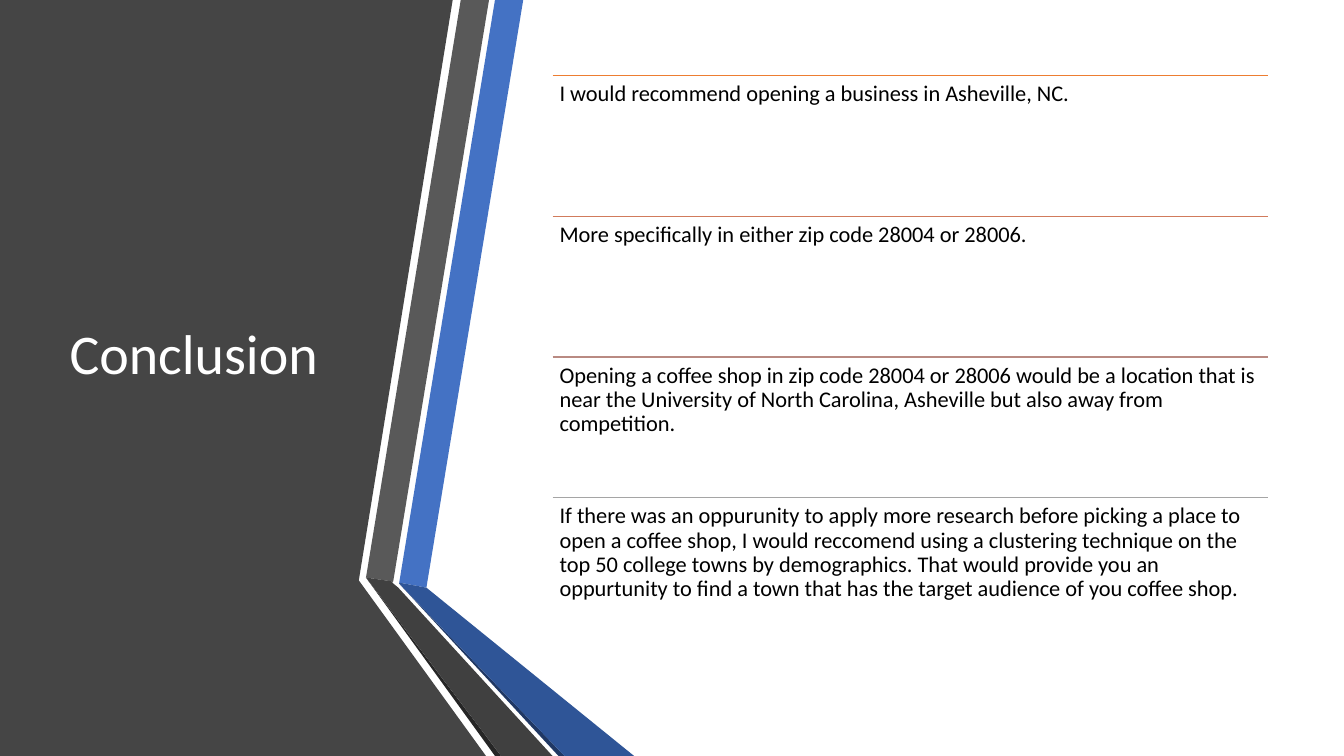
from dataclasses import dataclass

from lxml.etree import SubElement
from pptx import Presentation
from pptx.dml.color import RGBColor
from pptx.enum.shapes import MSO_CONNECTOR as Connector
from pptx.enum.text import MSO_ANCHOR as Anchor, MSO_AUTO_SIZE as AutoSize, PP_ALIGN as Align
from pptx.oxml.ns import qn
from pptx.slide import Slide
from pptx.text.text import TextFrame
from pptx.util import Inches, Pt

COLORS = {
    "panel": "454545",
    "blue": "4472C4",
    "gray": "595959",
    "gray_edge": "262626",
    "blue_edge": "203864",
    "blue_fold": "2F5597",
    "gray_fold": "404040",
    "title": "FFFFFF",
    "body": "000000",
    "rule_1": "ED7D31",
    "rule_2": "D17B5C",
    "rule_3": "B98A82",
    "rule_4": "A5A5A5",
}
FONT = "Calibri"
POINTS_LEFT, POINTS_TOP = 5.48, 0.75
POINTS_WIDTH, POINTS_HEIGHT = 7.1, 5.58
INSET = Inches(0.07)


@dataclass(frozen=True)
class Band:
    color: str
    corners: tuple[tuple[float, float], ...]


@dataclass(frozen=True)
class Point:
    color: str
    wording: str


BANDS = (
    Band("panel", ((0, 0), (4.49, 0), (3.56, 5.75), (3.56, 5.76), (4.82, 7.5), (0, 7.5))),
    Band("blue", ((3.96, 5.78), (4.23, 5.83), (5.19, 0), (4.91, 0))),
    Band("gray", ((4.85, 0), (4.57, 0), (3.63, 5.73), (3.9, 5.77))),
    Band("gray_edge", ((3.63, 5.73), (4.91, 7.5), (4.97, 7.5))),
    Band("blue_edge", ((3.96, 5.79), (5.54, 7.5), (5.6, 7.5))),
    Band("blue_fold", ((3.96, 5.79), (5.6, 7.5), (6.29, 7.5), (4.23, 5.83), (3.96, 5.78))),
    Band("gray_fold", ((5.48, 7.5), (3.95, 5.83), (3.89, 5.78), (3.9, 5.77), (3.63, 5.73), (4.97, 7.5))),
)
POINTS = (
    Point("rule_1", "I would recommend opening a business in Asheville, NC."),
    Point("rule_2", "More specifically in either zip code 28004 or 28006."),
    Point(
        "rule_3",
        "Opening a coffee shop in zip code 28004 or 28006 would be a location that is near "
        "the University of North Carolina, Asheville but also away from competition.",
    ),
    Point(
        "rule_4",
        "If there was an oppurunity to apply more research before picking a place to open a "
        "coffee shop, I would reccomend using a clustering technique on the top 50 college "
        "towns by demographics. That would provide you an oppurtunity to find a town that "
        "has the target audience of you coffee shop.",
    ),
)


def rgb(color: str) -> RGBColor:
    return RGBColor.from_string(COLORS[color])


def write(frame: TextFrame, wording: str, size: int, color: str) -> None:
    frame.word_wrap = True
    frame.auto_size = AutoSize.NONE
    paragraph = frame.paragraphs[0]
    paragraph.alignment = Align.LEFT
    paragraph.line_spacing = 0.9
    run = paragraph.add_run()
    run.text = wording
    run.font.name = FONT
    run.font.size = Pt(size)
    run.font.color.rgb = rgb(color)


def draw_band(slide: Slide, band: Band) -> None:
    start, *rest = [(Inches(x), Inches(y)) for x, y in band.corners]
    builder = slide.shapes.build_freeform(*start)
    builder.add_line_segments(rest, close=True)
    outline = builder.convert_to_shape()
    outline.shadow.inherit = False
    outline.fill.solid()
    outline.fill.fore_color.rgb = rgb(band.color)
    outline.line.fill.background()


def draw_title(slide: Slide) -> None:
    title = slide.shapes.title
    title.left, title.top = Inches(0.59), Inches(0.75)
    title.width, title.height = Inches(3.04), Inches(5.58)
    title.text_frame.vertical_anchor = Anchor.MIDDLE
    write(title.text_frame, "Conclusion", 40, "title")
    title.element.getparent().append(title.element)


def draw_point(slide: Slide, point: Point, top: float, height: float) -> None:
    left, right = Inches(POINTS_LEFT), Inches(POINTS_LEFT + POINTS_WIDTH)
    rule = slide.shapes.add_connector(Connector.STRAIGHT, left, Inches(top), right, Inches(top))
    rule.line.color.rgb = rgb(point.color)
    rule.line.width = Pt(1)
    SubElement(rule.element.spPr, qn("a:effectLst"))

    statement = slide.shapes.add_textbox(left, Inches(top), Inches(POINTS_WIDTH), Inches(height))
    frame = statement.text_frame
    frame.margin_left = frame.margin_right = INSET
    frame.margin_top = frame.margin_bottom = INSET
    frame.vertical_anchor = Anchor.TOP
    write(frame, point.wording, 16, "body")
    frame.paragraphs[0].space_after = Pt(5.6)


def main() -> None:
    deck = Presentation()
    deck.slide_width, deck.slide_height = Inches(13.33), Inches(7.5)
    slide = deck.slides.add_slide(deck.slide_layouts[5])
    for band in BANDS:
        draw_band(slide, band)
    draw_title(slide)
    height = POINTS_HEIGHT / len(POINTS)
    for row, point in enumerate(POINTS):
        draw_point(slide, point, POINTS_TOP + row * height, height)
    deck.save("out.pptx")


if __name__ == "__main__":
    main()
